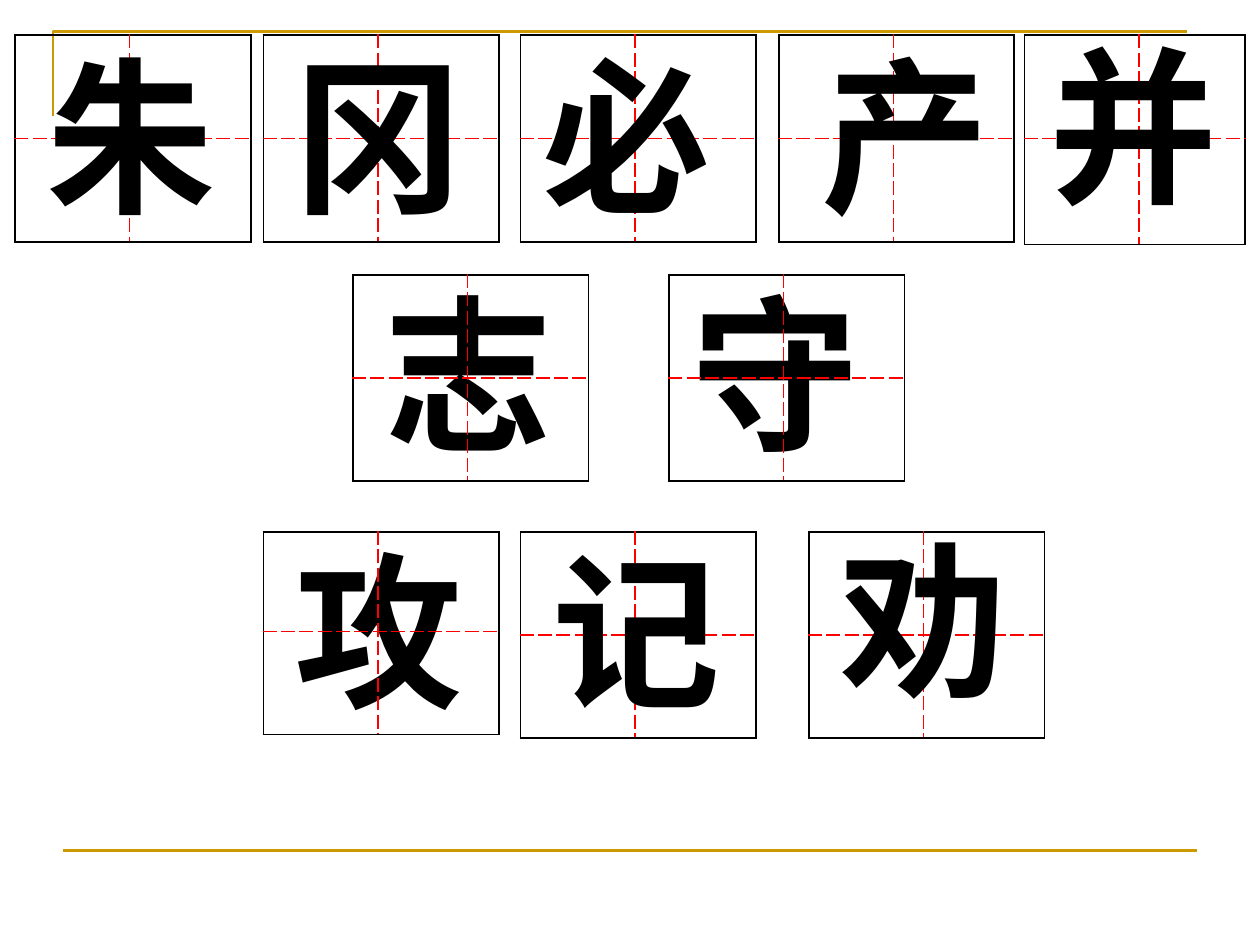
from dataclasses import dataclass

from lxml.etree import SubElement
from pptx import Presentation
from pptx.dml.color import RGBColor
from pptx.enum.dml import MSO_LINE_DASH_STYLE as DASH
from pptx.enum.shapes import MSO_CONNECTOR as CONN
from pptx.enum.text import MSO_AUTO_SIZE as AUTO
from pptx.oxml.ns import qn
from pptx.util import Inches, Pt


@dataclass(frozen=True)
class Theme:
    gold: str = "CC9900"
    ink: str = "000000"
    guide: str = "FF0000"
    font: str = "Noto Sans CJK SC"
    size: int = 96
    rule_w: float = 1.5
    frame_w: float = 1.08
    guide_w: float = 0.75


class Sheet:
    """Practice sheet on a grid of 100 columns by 75 rows."""

    def __init__(self, prs, theme):
        self.theme = theme
        self.col = prs.slide_width / 100
        self.row = prs.slide_height / 75
        self.s = prs.slides.add_slide(prs.slide_layouts[6])

    def x(self, cols):
        return round(cols * self.col)

    def y(self, rows):
        return round(rows * self.row)

    def gold_line(self, line):
        line.color.rgb = RGBColor.from_string(self.theme.gold)
        line.width = Pt(self.theme.rule_w)

    def bracket(self, left, top, right, bottom):
        fb = self.s.shapes.build_freeform(self.x(left), self.y(bottom))
        corners = [(left, top), (right, top)]
        fb.add_line_segments([(self.x(x), self.y(y)) for x, y in corners], close=False)
        sp = fb.convert_to_shape()
        sp.shadow.inherit = False
        sp.fill.background()
        self.gold_line(sp.line)

    def rule(self, left, right, y):
        cx = self.s.shapes.add_connector(
            CONN.STRAIGHT, self.x(left), self.y(y), self.x(right), self.y(y))
        SubElement(cx._element.spPr, qn("a:effectLst"))
        self.gold_line(cx.line)

    def border(self, cell, side, outer):
        t = self.theme
        color, width = (t.ink, t.frame_w) if outer else (t.guide, t.guide_w)
        ln = SubElement(cell._tc.get_or_add_tcPr(), qn(f"a:ln{side}"), w=str(Pt(width)))
        fill = SubElement(ln, qn("a:solidFill"))
        SubElement(fill, qn("a:srgbClr"), val=color)
        dash = DASH.SOLID if outer else DASH.DASH
        SubElement(ln, qn("a:prstDash"), val=DASH.to_xml(dash))

    def square(self, left, top, cols, rows):
        tbl = self.s.shapes.add_table(
            2, 2, self.x(left), self.y(top), self.x(sum(cols)), self.y(sum(rows))).table
        tbl.first_row = tbl.horz_banding = False
        for i in range(2):
            tbl.columns[i].width = self.x(cols[i])
            tbl.rows[i].height = self.y(rows[i])
        for r in range(2):
            for c in range(2):
                cell = tbl.cell(r, c)
                for side, outer in zip("LRTB", (c == 0, c == 1, r == 0, r == 1)):
                    self.border(cell, side, outer)
                cell.fill.background()

    def character(self, text, left, top, width=14.8, height=17):
        box = self.s.shapes.add_textbox(
            self.x(left), self.y(top), self.x(width), self.y(height))
        tf = box.text_frame
        tf.word_wrap = True
        tf.auto_size = AUTO.SHAPE_TO_FIT_TEXT
        p = tf.paragraphs[0]
        p.text = text
        p.font.name, p.font.size, p.font.bold = self.theme.font, Pt(self.theme.size), True
        p.font.color.rgb = RGBColor.from_string(self.theme.ink)
        rPr = p.runs[0].font._element
        SubElement(rPr, qn("a:ea"), typeface=self.theme.font)


COLS, ROWS = (9.1, 9.6), (8.2, 8.2)
TOP, MIDDLE, BOTTOM = 2.8, 21.8, 42.2
SQUARES_BEHIND = [
    (1.2, TOP, COLS, ROWS),
    (20.9, TOP, COLS, ROWS),
    (41.3, TOP, COLS, ROWS),
    (61.8, TOP, COLS, ROWS),
    (81.3, TOP, (9.1, 8.4), (8.2, 8.4)),
    (41.3, BOTTOM, COLS, ROWS),
    (64.2, BOTTOM, COLS, ROWS),
]
CHARACTERS = [
    ("朱", 2.7, 2.1),
    ("冈", 22.4, 2.1),
    ("必", 42.1, 2.1),
    ("产", 64.2, 2.1),
    ("并", 82.3, 1.3),
    ("志", 29.5, 21),
    ("守", 53.9, 21),
    ("攻", 22.4, 41.4, 17.3, 41.4),
    ("记", 42.9, 41.4),
    ("劝", 65.7, 40.6),
]
SQUARES_IN_FRONT = [
    (28, MIDDLE, COLS, ROWS),
    (53.1, MIDDLE, COLS, ROWS),
    (20.9, BOTTOM, COLS, (7.9, 8.2)),
]


def main():
    prs = Presentation()
    prs.slide_width, prs.slide_height = Inches(10), Inches(7.5)
    sheet = Sheet(prs, Theme())
    sheet.bracket(4.2, 2.5, 94.2, 9.2)
    sheet.rule(5, 95, 67.5)
    for square in SQUARES_BEHIND:
        sheet.square(*square)
    for character in CHARACTERS:
        sheet.character(*character)
    for square in SQUARES_IN_FRONT:
        sheet.square(*square)
    prs.save("out.pptx")


if __name__ == "__main__":
    main()
